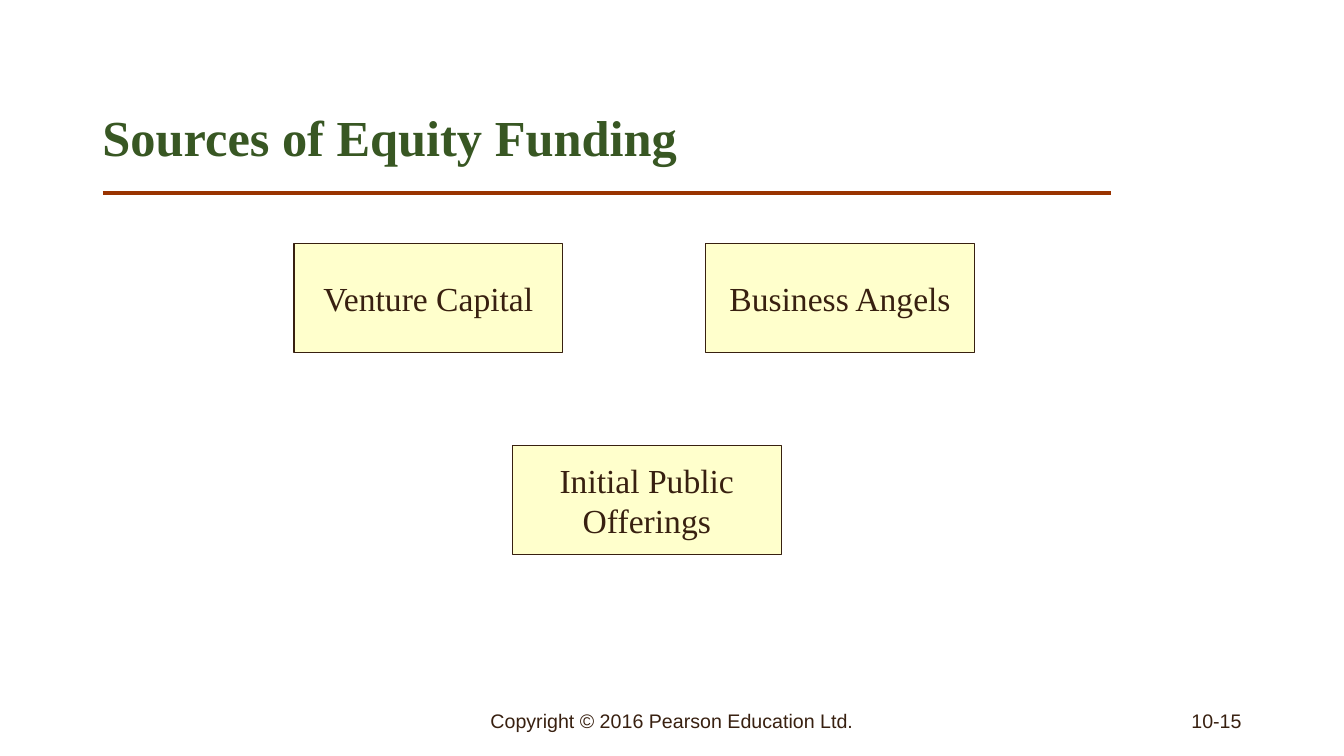
from pptx import Presentation
from pptx.dml.color import RGBColor
from pptx.enum.shapes import MSO_CONNECTOR, MSO_SHAPE
from pptx.enum.text import MSO_ANCHOR, PP_ALIGN
from pptx.oxml.ns import qn
from pptx.util import Inches, Pt
from lxml.etree import SubElement

COLORS = {"title": "385723", "text": "382010", "rule": "993300", "box": "FFFFCC"}
SERIF, SANS = "Times New Roman", "Arial"
COLS, ROWS = 160, 90
BOX_W, BOX_H = 32, 13
SOURCES = [
    ("Venture Capital", 35, 29),
    ("Business Angels", 84, 29),
    ("Initial Public Offerings", 61, 53),
]


def grid(*cells):
    """Turn grid units (twelve to the inch) into lengths."""
    return [Inches(c / 12) for c in cells]


def color(name):
    return RGBColor.from_string(COLORS[name])


def write(sp, text, size, font, align, name="text", bold=False):
    tf = sp.text_frame
    tf.word_wrap = True
    tf.vertical_anchor = MSO_ANCHOR.MIDDLE
    p = tf.paragraphs[0]
    p.alignment = align
    r = p.add_run()
    r.text = text
    r.font.size = Pt(size)
    r.font.name = font
    r.font.bold = bold
    r.font.color.rgb = color(name)
    return p


def add_title(slide, text):
    sp = slide.shapes.title
    sp.left, sp.top, sp.width, sp.height = grid(11, 8, 138, 17.4)
    p = write(sp, text, 36, SERIF, PP_ALIGN.LEFT, "title", bold=True)
    p.line_spacing = 0.9


def add_rule(slide, left, right, row):
    line = slide.shapes.add_connector(
        MSO_CONNECTOR.STRAIGHT, *grid(left, row, right, row))
    line.line.color.rgb = color("rule")
    line.line.width = Pt(3)
    SubElement(line._element.spPr, qn("a:effectLst"))


def add_box(slide, text, col, row):
    sp = slide.shapes.add_shape(
        MSO_SHAPE.RECTANGLE, *grid(col, row, BOX_W, BOX_H))
    sp.shadow.inherit = False
    sp.fill.solid()
    sp.fill.fore_color.rgb = color("box")
    sp.line.color.rgb = color("text")
    sp.line.width = Pt(0.75)
    write(sp, text, 24, SERIF, PP_ALIGN.CENTER)


def add_footer(slide, text, col, width, align):
    sp = slide.shapes.add_textbox(*grid(col, 83.4, width, 4.8))
    write(sp, text, 14, SANS, align)


def main():
    prs = Presentation()
    prs.slide_width, prs.slide_height = grid(COLS, ROWS)
    slide = prs.slides.add_slide(prs.slide_layouts.get_by_name("Title Only"))
    add_title(slide, "Sources of Equity Funding")
    add_rule(slide, 12.25, 132.25, 23)
    for text, col, row in SOURCES:
        add_box(slide, text, col, row)
    add_footer(slide, "Copyright © 2016 Pearson Education Ltd.", 53, 54,
               PP_ALIGN.CENTER)
    add_footer(slide, "10-15", 113, 36, PP_ALIGN.RIGHT)
    prs.save("out.pptx")


if __name__ == "__main__":
    main()
